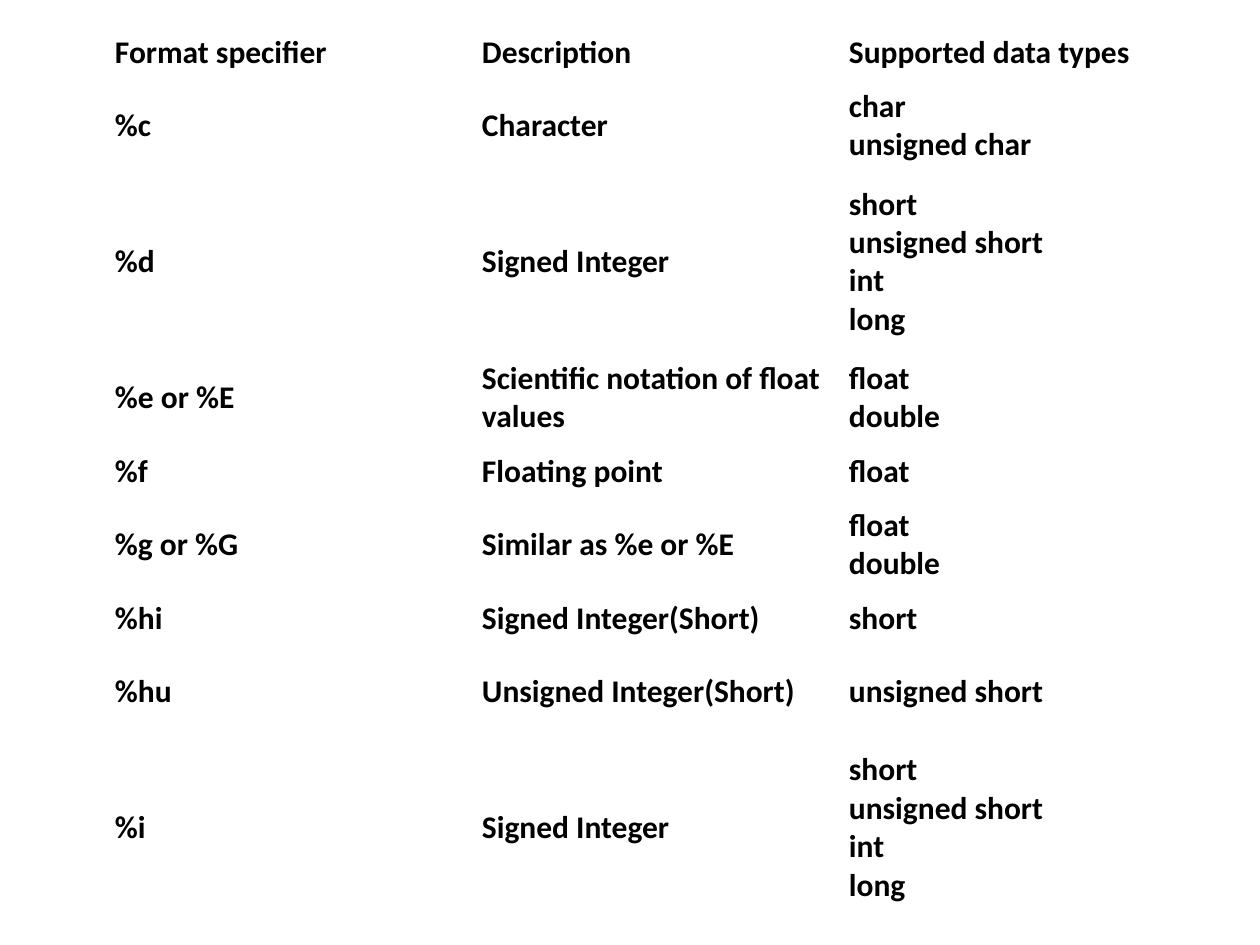
"""Build a slide with a table of C format specifiers."""
import pptx
import pptx.dml.color
import pptx.enum.text
import pptx.util

PX = 914400 // 126
THEME = {"font": "Calibri", "size": 18, "text": "000000", "background": "FFFFFF"}
SLIDE = (1260, 945)
LEFT, TOP = 105, 26
COLUMN = 367
INSET_X, INSET_Y = 10, 5
SHORT, MEDIUM, TALL = 53, 94, 178

ROWS = [
    (SHORT, "Format specifier", "Description", ["Supported data types"]),
    (MEDIUM, "%c", "Character", ["char", "unsigned char"]),
    (TALL, "%d", "Signed Integer", ["short", "unsigned short", "int", "long"]),
    (MEDIUM, "%e or %E", "Scientific notation of float values", ["float", "double"]),
    (SHORT, "%f", "Floating point", ["float"]),
    (MEDIUM, "%g or %G", "Similar as %e or %E", ["float", "double"]),
    (SHORT, "%hi", "Signed Integer(Short)", ["short"]),
    (MEDIUM, "%hu", "Unsigned Integer(Short)", ["unsigned short"]),
    (TALL, "%i", "Signed Integer", ["short", "unsigned short", "int", "long"]),
]


def px(n):
    return pptx.util.Emu(n * PX)


def color(name):
    return pptx.dml.color.RGBColor.from_string(THEME[name])


def fill_cell(cell, text):
    cell.fill.background()
    cell.vertical_anchor = pptx.enum.text.MSO_ANCHOR.MIDDLE
    cell.margin_left = cell.margin_right = px(INSET_X)
    cell.margin_top = cell.margin_bottom = px(INSET_Y)
    p = cell.text_frame.paragraphs[0]
    p.text = text
    p.font.name = THEME["font"]
    p.font.size = pptx.util.Pt(THEME["size"])
    p.font.bold = True
    p.font.color.rgb = color("text")


def add_specifiers(s):
    height = sum(row[0] for row in ROWS)
    frame = s.shapes.add_table(len(ROWS), 3, px(LEFT), px(TOP), px(3 * COLUMN), px(height))
    table = frame.table
    table.first_row = table.horz_banding = False
    for column in table.columns:
        column.width = px(COLUMN)
    for row, (height, specifier, description, types) in zip(table.rows, ROWS):
        row.height = px(height)
        for cell, text in zip(row.cells, (specifier, description, "\v".join(types))):
            fill_cell(cell, text)


def main():
    prs = pptx.Presentation()
    prs.slide_width, prs.slide_height = map(px, SLIDE)
    s = prs.slides.add_slide(prs.slide_layouts[6])
    s.background.fill.solid()
    s.background.fill.fore_color.rgb = color("background")
    add_specifiers(s)
    prs.save("out.pptx")


if __name__ == "__main__":
    main()
